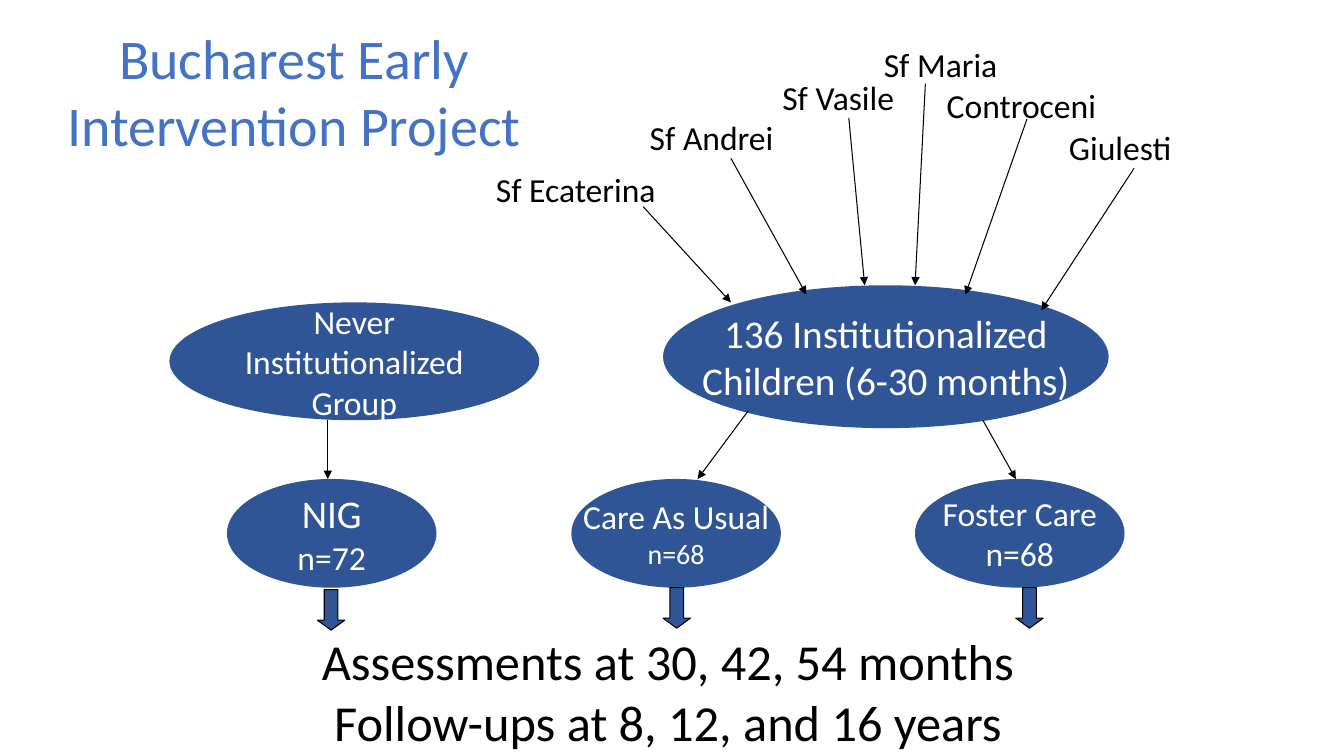
import lxml.etree
import pptx
import pptx.util
import pptx.dml.color
import pptx.enum.shapes
import pptx.enum.text
import pptx.oxml.ns

Cm = pptx.util.Cm
Pt = pptx.util.Pt
RGBColor = pptx.dml.color.RGBColor
SHAPE = pptx.enum.shapes.MSO_SHAPE
qn = pptx.oxml.ns.qn

NAVY = RGBColor(0x2F, 0x55, 0x97)
BLUE = RGBColor(0x44, 0x72, 0xC4)
BLACK = RGBColor(0, 0, 0)
WHITE = RGBColor(255, 255, 255)

deck = pptx.Presentation()
deck.slide_width, deck.slide_height = Cm(33.87), Cm(19.05)
page = deck.slides.add_slide(deck.slide_layouts[5])


def write_text(shape, lines, sizes, color=BLACK):
    """Centre the lines in the shape; sizes holds one point size per line."""
    frame = shape.text_frame
    frame.word_wrap = False
    frame.auto_size = pptx.enum.text.MSO_AUTO_SIZE.NONE
    frame.vertical_anchor = pptx.enum.text.MSO_ANCHOR.MIDDLE
    for index, (line, size) in enumerate(zip(lines, sizes)):
        para = frame.add_paragraph() if index else frame.paragraphs[0]
        para.alignment = pptx.enum.text.PP_ALIGN.CENTER
        span = para.add_run()
        span.text = line
        span.font.name = "Calibri"
        span.font.size = Pt(size)
        span.font.color.rgb = color


def add_filled(kind, left, top, width, height):
    shape = page.shapes.add_shape(kind, Cm(left), Cm(top), Cm(width), Cm(height))
    shape.shadow.inherit = False
    shape.fill.solid()
    shape.fill.fore_color.rgb = NAVY
    shape.line.fill.background()
    return shape


title = page.shapes.title
title.left, title.top, title.width, title.height = Cm(-0.53), Cm(1.55), Cm(15.88), Cm(1.47)
write_text(title, ["Bucharest Early", "Intervention Project"], [40, 40], color=BLUE)

# Orphanages: name, left, top, width
orphanages = [
    ("Sf Ecaterina", 12.34, 4.24, 4.34),
    ("Sf Andrei", 16.36, 2.92, 3.15),
    ("Sf Vasile", 19.69, 1.9, 2.87),
    ("Sf Maria", 22.23, 1.07, 2.95),
    ("Controceni", 24.33, 2.11, 2.82),
    ("Giulesti", 26.82, 3.18, 2.82),
]
for name, left, top, width in orphanages:
    label = add_filled(SHAPE.OVAL, left, top, width, 1.07)
    label.fill.background()
    write_text(label, [name], [24])

# Study groups: left, top, width, height, lines, sizes
groups = [
    (4.27, 7.62, 9.32, 2.97, ["Never", "Institutionalized", "Group"], [24, 24, 24]),
    (16.71, 7.19, 11.23, 3.6, ["136 Institutionalized", "Children (6-30 months)"], [28, 28]),
    (5.72, 12.07, 5.28, 2.74, ["NIG", "n=72"], [28, 24]),
    (14.4, 12.07, 5.28, 2.74, ["Care As Usual", "n=68"], [24, 20]),
    (23.06, 12.07, 5.28, 2.74, ["Foster Care", "n=68"], [24, 24]),
]
for left, top, width, height, lines, sizes in groups:
    oval = add_filled(SHAPE.OVAL, left, top, width, height)
    write_text(oval, lines, sizes, color=WHITE)

for left, top in [(8, 14.86), (16.71, 14.81), (25.6, 14.81)]:
    block_arrow = add_filled(SHAPE.DOWN_ARROW, left, top, 0.69, 1.02)
    block_arrow.adjustments[0] = 0.5
    block_arrow.adjustments[1] = 0.365
    block_arrow.line.color.rgb = BLACK
    block_arrow.line.width = Pt(0.75)

# Arrows: start x, start y, end x, end y
arrows = [
    (16.21, 5.21, 18.42, 7.62),
    (18.42, 3.99, 20.32, 7.42),
    (21.39, 2.97, 21.79, 7.19),
    (23.32, 2.11, 23.06, 7.19),
    (25.88, 3, 24.33, 7.42),
    (28.58, 4.24, 26.24, 7.82),
    (8.26, 10.59, 8.26, 12.07),
    (18.85, 10.36, 17.58, 12.07),
    (24.77, 10.59, 25.6, 12.07),
]
for ends in arrows:
    arrow = page.shapes.add_connector(
        pptx.enum.shapes.MSO_CONNECTOR.STRAIGHT, *[Cm(value) for value in ends])
    arrow.line.color.rgb = BLACK
    arrow.line.width = Pt(0.75)
    properties = arrow.element.find(qn("p:spPr"))
    lxml.etree.SubElement(properties.find(qn("a:ln")), qn("a:tailEnd"), type="triangle")
    lxml.etree.SubElement(properties, qn("a:effectLst"))

schedule = page.shapes.add_textbox(Cm(4.65), Cm(16.71), Cm(24.38), Cm(1.4))
write_text(
    schedule,
    ["Assessments at 30, 42, 54 months", "Follow-ups at 8, 12, and 16 years"],
    [36, 36],
)

deck.save("out.pptx")
